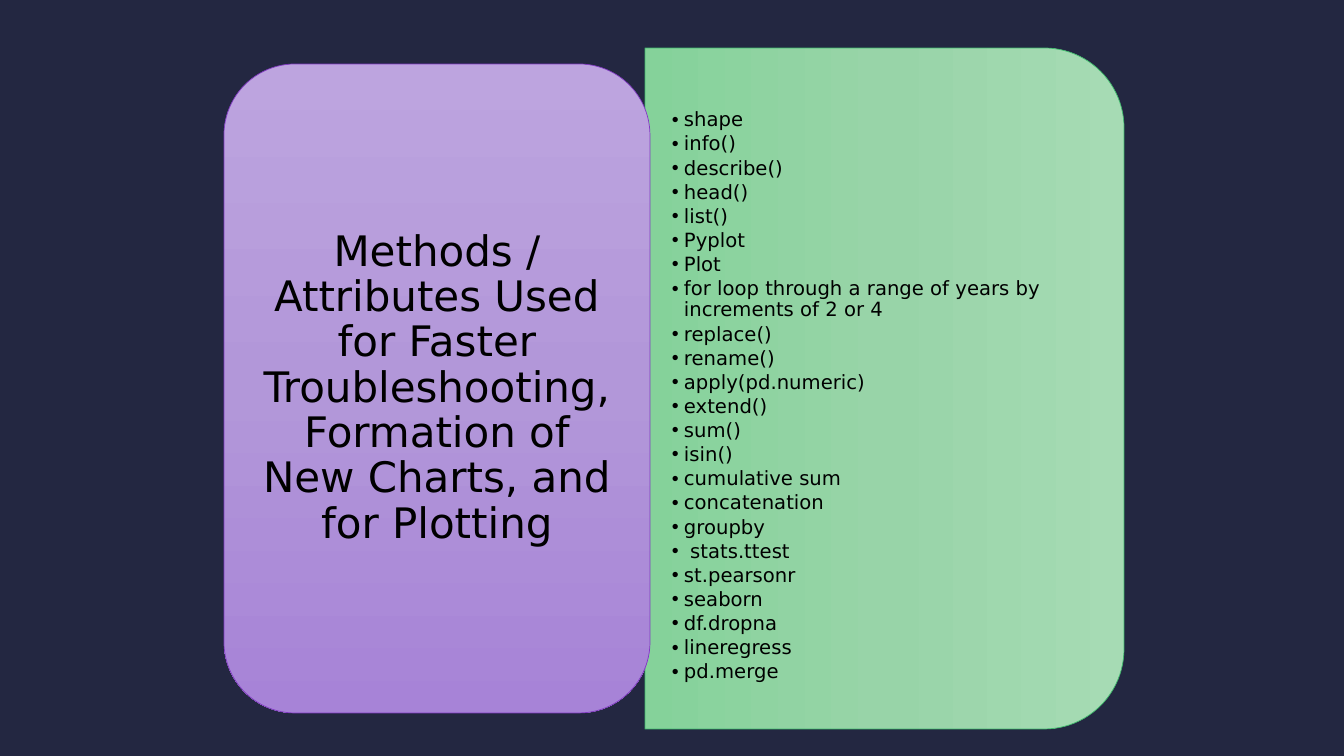
from copy import deepcopy

from pptx import Presentation
from pptx.dml.color import RGBColor
from pptx.enum.shapes import MSO_SHAPE
from pptx.enum.text import MSO_ANCHOR, MSO_AUTO_SIZE, PP_ALIGN
from pptx.oxml import parse_xml
from pptx.oxml.ns import nsdecls
from pptx.util import Emu, Pt

EMU_PER_PX = 914400 / 100.8
FONT = "DejaVu Sans"
HEADING = ("Methods / Attributes Used for Faster Troubleshooting, "
           "Formation of New Charts, and for Plotting")
METHODS = [
    "shape", "info()", "describe()", "head()", "list()", "Pyplot", "Plot",
    "for loop through a range of years by increments of 2 or 4",
    "replace()", "rename()", "apply(pd.numeric)", "extend()", "sum()",
    "isin()", "cumulative sum", "concatenation", "groupby", " stats.ttest",
    "st.pearsonr", "seaborn", "df.dropna", "lineregress", "pd.merge",
]


def px(length):
    return Emu(round(length * EMU_PER_PX))


def color(code):
    return RGBColor.from_string(code)


def apply_format(target, values):
    for name, value in values.items():
        setattr(target, name, value)


def place(part, left, top, width, height):
    apply_format(part, {"left": px(left), "top": px(top),
                        "width": px(width), "height": px(height)})


def add_panel(slide, preset, box, shades, outline):
    panel = slide.shapes.add_shape(preset, *map(px, box))
    panel.shadow.inherit = False
    panel.fill.gradient()
    panel.fill.gradient_angle = 270
    first = panel.fill.gradient_stops[0]._gs
    first.addnext(deepcopy(first))
    for stop, shade, position in zip(panel.fill.gradient_stops, shades, (0, 0.5, 1)):
        stop.color.rgb = color(shade)
        stop.position = position
    panel.line.color.rgb = color(outline)
    panel.line.width = Pt(0.5)
    return panel


def format_text(placeholder, box, margin_x, margin_y, size, paragraph_format):
    place(placeholder, *box)
    frame = placeholder.text_frame
    apply_format(frame, {
        "word_wrap": True, "auto_size": MSO_AUTO_SIZE.NONE,
        "vertical_anchor": MSO_ANCHOR.MIDDLE,
        "margin_left": px(margin_x), "margin_right": px(margin_x),
        "margin_top": px(margin_y), "margin_bottom": px(margin_y)})
    for paragraph in frame.paragraphs:
        apply_format(paragraph, {"line_spacing": 0.9, "space_before": Pt(0),
                                 **paragraph_format})
        for run in paragraph.runs:
            apply_format(run.font, {"name": FONT, "size": Pt(size)})
            run.font.color.rgb = color("000000")


def build_methods(slide, left, top, width, height):
    turned_box = (left + (width - height) / 2, top + (height - width) / 2,
                  height, width)
    panel = add_panel(slide, MSO_SHAPE.ROUND_2_SAME_RECTANGLE, turned_box,
                      ("A6DBB4", "98D4A8", "85D29A"), "3FB96C")
    panel.rotation = 90
    methods = slide.placeholders[1]
    slide.shapes._spTree.append(methods._element)
    methods.text_frame.text = "\n".join(METHODS)
    for paragraph in methods.text_frame.paragraphs:
        properties = paragraph._p.get_or_add_pPr()
        properties.set("marL", str(px(12)))
        properties.set("indent", str(px(-12)))
        properties.append(parse_xml(f'<a:buChar {nsdecls("a")} char="•"/>'))
    format_text(methods, (left, top + 31, width - 23, height - 46), 27, 14, 14,
                {"level": 1, "space_after": Pt(2.1), "alignment": PP_ALIGN.LEFT})


def build_heading(slide, left, top, width, height):
    add_panel(slide, MSO_SHAPE.ROUNDED_RECTANGLE, (left, top, width, height),
              ("BDA4DF", "B297D9", "A783D7"), "8039C1")
    heading = slide.shapes.title
    slide.shapes._spTree.append(heading._element)
    heading.text_frame.text = HEADING
    format_text(heading, (left + 21, top + 21, width - 42, height - 42), 12, 6, 30,
                {"alignment": PP_ALIGN.CENTER})


def main():
    presentation = Presentation()
    presentation.slide_width = px(1344)
    presentation.slide_height = px(756)
    slide = presentation.slides.add_slide(presentation.slide_layouts[1])
    slide.background.fill.solid()
    slide.background.fill.fore_color.rgb = color("232741")
    build_methods(slide, 645, 48, 479, 681)
    build_heading(slide, 224, 64, 426, 649)
    presentation.save("out.pptx")


if __name__ == "__main__":
    main()
